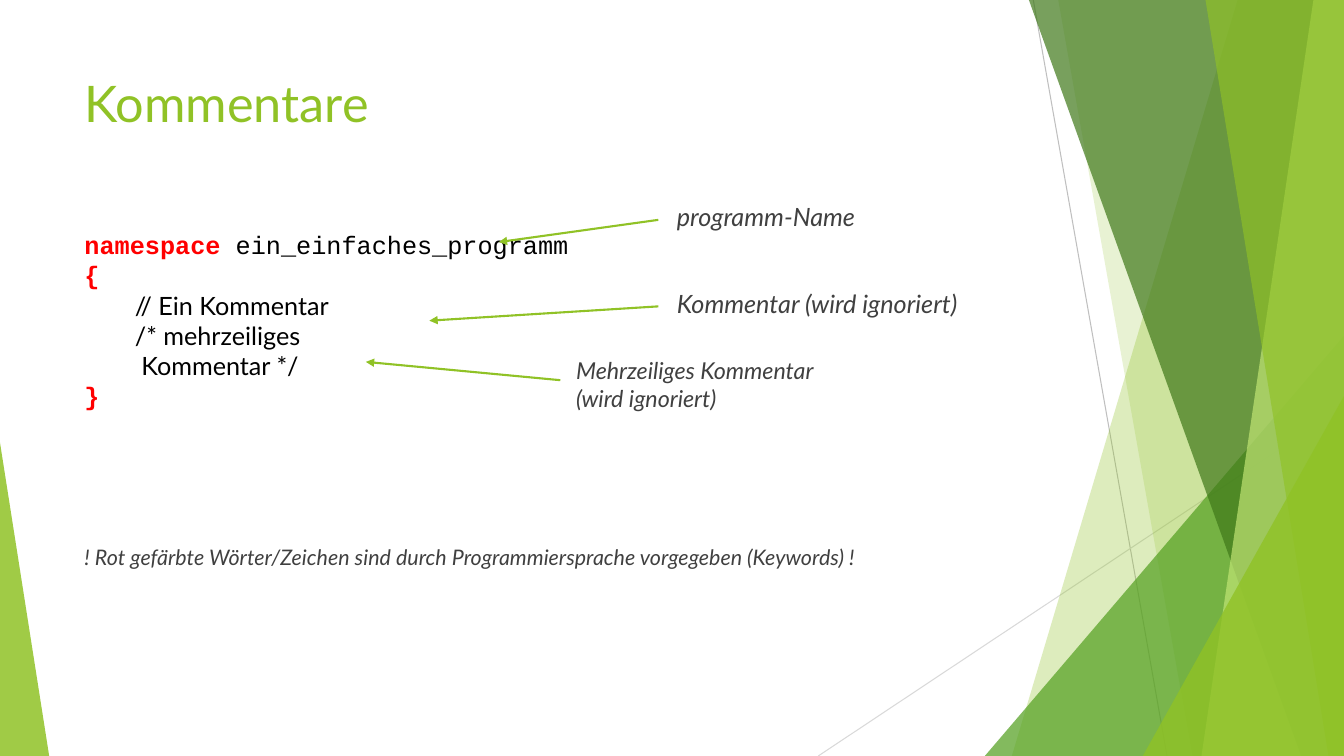
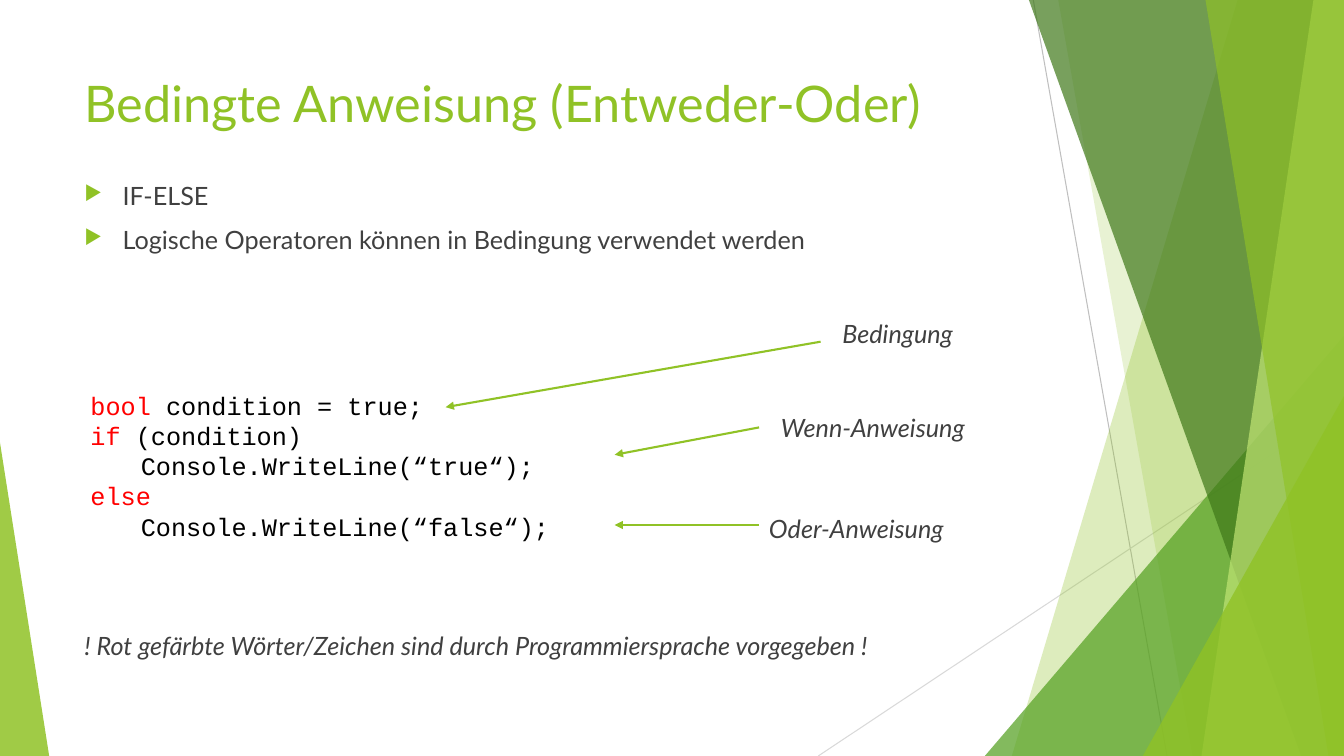
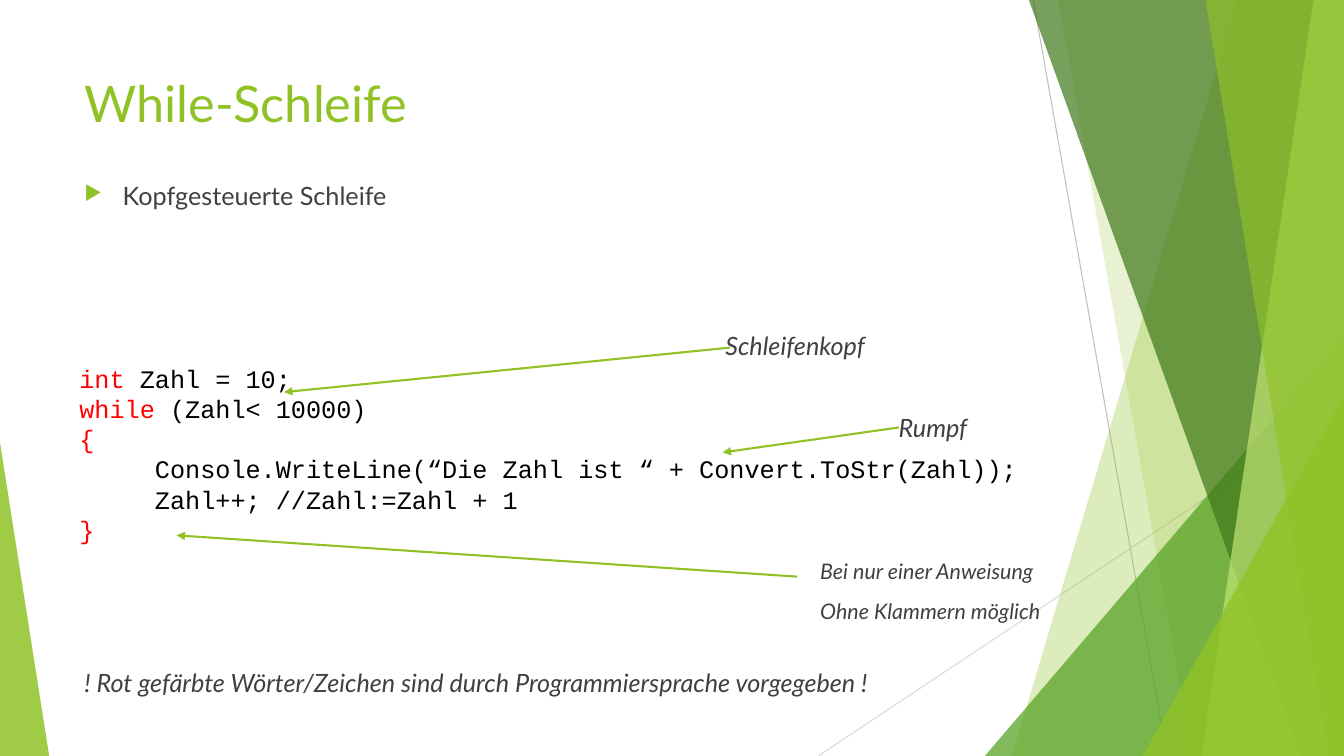
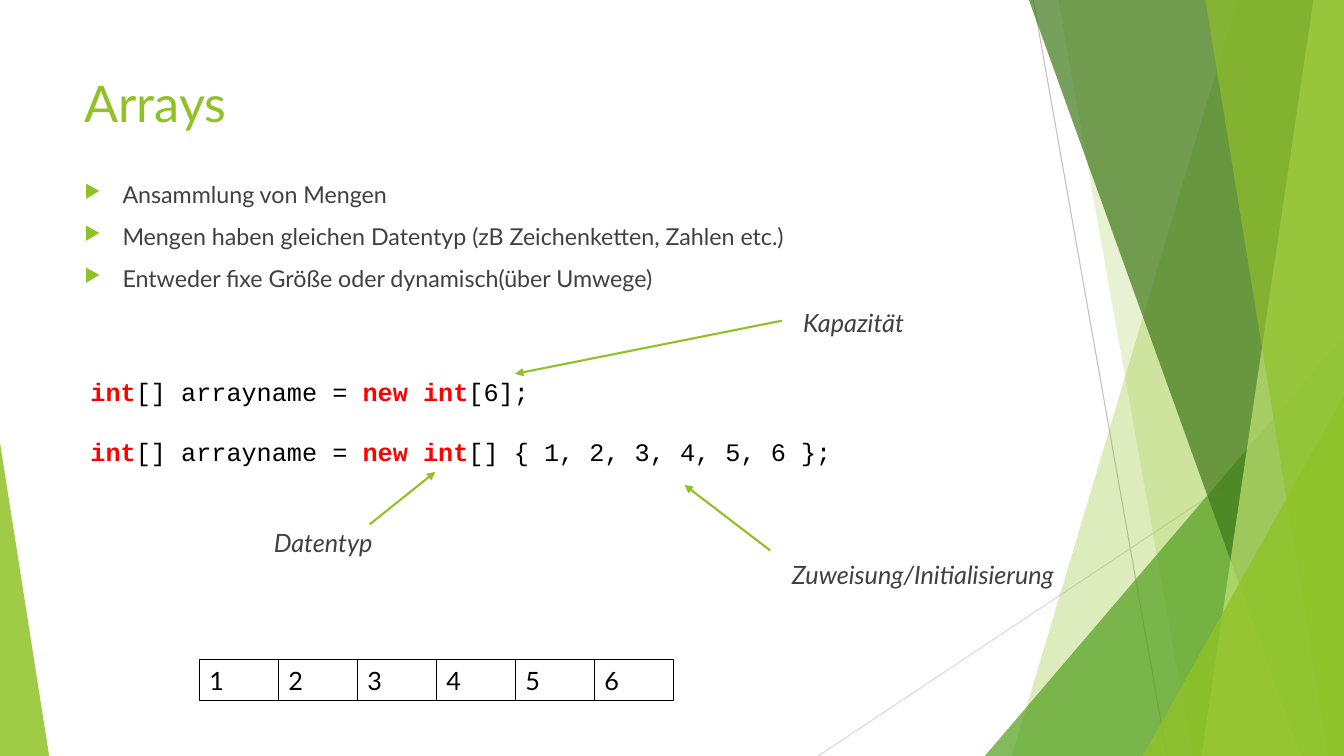
from dataclasses import dataclass, field
from typing import Any, NamedTuple

from lxml import etree
from pptx import Presentation
from pptx import slide as sl
from pptx import util as u
from pptx.dml import color as col
from pptx.enum import shapes, text
from pptx.oxml import ns
from pptx.shapes import autoshape, connector

Cm, Pt, Rgb = u.Cm, u.Pt, col.RGBColor.from_string


@dataclass(frozen=True)
class Theme:
    wide: float = 33.87
    high: float = 19.05
    left: float = 1.88
    sans: str = "Lato"
    mono: str = "Courier New"
    lime: str = "90C226"
    leaf: str = "54A021"
    moss: str = "3F7819"
    pale: str = "C0E474"
    gray: str = "404040"
    ash: str = "BFBFBF"
    mist: str = "D9D9D9"
    red: str = "FF0000"
    black: str = "000000"
    head: float = 36
    base: float = 18
    mid: float = 16.6
    small: float = 15.3
    pitch: float = 21.6
    gap: float = 10
    thin: float = 0.75
    thick: float = 1.5


T = Theme()


class Bit(NamedTuple):
    text: str
    color: str = T.black
    font: str = T.mono
    size: float = T.base
    bold: bool = False
    italic: bool = False


class Box(NamedTuple):
    x: float
    y: float
    w: float
    h: float


class Arrow(NamedTuple):
    x1: float
    y1: float
    x2: float
    y2: float
    color: str = T.lime
    width: float = T.thick
    tip: bool = True


class Band(NamedTuple):
    top: float
    foot: float
    color: str
    alpha: int


class Wedge(NamedTuple):
    box: Box
    apex: float
    color: str
    alpha: int


class Label(NamedTuple):
    box: Box
    lines: tuple[str, ...]
    size: float = T.base


Line = tuple[Bit, ...]


@dataclass(frozen=True)
class Page:
    title: str
    spot: Box
    code: tuple[Line, ...]
    labels: tuple[Label, ...]
    arrows: tuple[Arrow, ...]
    points: tuple[str, ...] = ()
    size: float = T.base
    skip: float = 0
    cells: tuple[str, ...] = field(default=())


def key(word: str) -> Bit:
    return Bit(word, T.red)


def bold(word: str) -> Bit:
    return Bit(word, T.red, bold=True)


def sans(word: str) -> Bit:
    return Bit(word, font=T.sans)


def style(item: Any, form: dict[str, Any]) -> None:
    for name, value in form.items():
        setattr(item, name, value)


def child(root: Any, tag: str, **attrs: str) -> Any:
    return etree.SubElement(root, ns.qn(tag), attrs)


def place(box: Box) -> tuple[u.Length, ...]:
    return tuple(Cm(v) for v in box)


def write(frame: Any, lines: tuple[Line, ...], form: dict[str, Any],
          gap: float = 0, mark: bool = False) -> None:
    frame.word_wrap = True
    frame.vertical_anchor = text.MSO_ANCHOR.TOP
    for i, line in enumerate(lines):
        para = frame.add_paragraph() if i else frame.paragraphs[0]
        style(para, {"alignment": text.PP_ALIGN.LEFT, **form})
        if i and gap:
            para.space_before = Pt(gap)
        if mark:
            bullet(para)
        for bit in line:
            run = para.add_run()
            run.text = bit.text
            style(run.font, {"name": bit.font, "size": Pt(bit.size),
                             "bold": bit.bold, "italic": bit.italic})
            run.font.color.rgb = Rgb(bit.color)


def bullet(para: Any) -> None:
    props = para._p.get_or_add_pPr()
    style_at = {"marL": Cm(0.96), "indent": Cm(-0.96)}
    for name, value in style_at.items():
        props.set(name, str(int(value)))
    child(child(props, "a:buClr"), "a:srgbClr", val=T.lime)
    child(props, "a:buSzPct", val="80000")
    child(props, "a:buChar", char="▶")


def add_text(page: sl.Slide, box: Box, lines: tuple[Line, ...],
             gap: float = 0, mark: bool = False, **form: Any) -> None:
    shape = page.shapes.add_textbox(*place(box))
    write(shape.text_frame, lines, form, gap, mark)


def add_arrow(page: sl.Slide, arrow: Arrow) -> connector.Connector:
    ends = (Cm(v) for v in arrow[:4])
    line = page.shapes.add_connector(shapes.MSO_CONNECTOR.STRAIGHT, *ends)
    line.line.color.rgb = Rgb(arrow.color)
    line.line.width = Pt(arrow.width)
    props = line.element.spPr
    if arrow.tip:
        child(props.find(ns.qn("a:ln")), "a:tailEnd", type="triangle")
    child(props, "a:effectLst")
    return line


def tint(shape: autoshape.Shape, color: str, alpha: int) -> None:
    shape.shadow.inherit = False
    shape.fill.solid()
    shape.fill.fore_color.rgb = Rgb(color)
    shape.line.fill.background()
    child(shape.element.spPr.find(".//" + ns.qn("a:srgbClr")),
          "a:alpha", val=str(alpha * 1000))


def add_band(page: sl.Slide, band: Band) -> autoshape.Shape:
    right, low = Cm(T.wide), Cm(T.high)
    form = page.shapes.build_freeform(Cm(band.top), 0)
    form.add_line_segments([(right, 0), (right, low), (Cm(band.foot), low)])
    shape = form.convert_to_shape()
    tint(shape, band.color, band.alpha)
    return shape


def add_wedge(page: sl.Slide, wedge: Wedge) -> autoshape.Shape:
    kind = shapes.MSO_SHAPE.ISOSCELES_TRIANGLE
    shape = page.shapes.add_shape(kind, *place(wedge.box))
    shape.adjustments[0] = wedge.apex
    tint(shape, wedge.color, wedge.alpha)
    return shape


def add_cells(page: sl.Slide, words: tuple[str, ...]) -> None:
    for i, word in enumerate(words):
        box = Box(5.03 + 1.99 * i, 16.63, 2, 1.03)
        cell = page.shapes.add_shape(shapes.MSO_SHAPE.RECTANGLE, *place(box))
        cell.shadow.inherit = False
        cell.fill.background()
        cell.line.color.rgb = Rgb(T.black)
        cell.line.width = Pt(T.thin)
        write(cell.text_frame, ((sans(word),),), {})


DECOR = (
    Arrow(26.04, 0, 29.41, 19.05, T.ash, T.thin, False),
    Arrow(33.87, 10.24, 20.62, 19.05, T.mist, T.thin, False),
    Band(31.19, 25.5, T.lime, 30),
    Band(26.67, 30.05, T.lime, 20),
    Wedge(Box(24.82, 8.46, 9.05, 10.59), 1, T.leaf, 72),
    Band(25.93, 32.79, T.moss, 70),
    Band(33.1, 30.28, T.pale, 70),
    Band(30.38, 33.48, T.lime, 65),
    Wedge(Box(28.8, 9.98, 5.07, 9.07), 1, T.lime, 80),
    Wedge(Box(0, 11.15, 1.24, 7.9), 0, T.lime, 85),
)
DRAW = {Arrow: add_arrow, Band: add_band, Wedge: add_wedge}


def set_decor(page: sl.Slide) -> None:
    tree = page.slide_layout.shapes.element
    for part in DECOR:
        tree.append(DRAW[type(part)](page, part).element)


def add_page(page: sl.Slide, data: Page) -> None:
    title = Bit(data.title, T.lime, T.sans, T.head)
    add_text(page, Box(T.left, 1.7, 23.88, 3.66), ((title,),))
    if data.points:
        rows = tuple((Bit(p, T.gray, T.sans, data.size),) for p in data.points)
        add_text(page, Box(T.left, 4.42, 23.88, 2.84), rows, T.gap, True)
    add_text(page, data.spot, data.code, data.skip, line_spacing=Pt(T.pitch))
    for label in data.labels:
        rows = tuple((Bit(t, T.gray, T.sans, label.size, italic=True),)
                     for t in label.lines)
        add_text(page, label.box, rows, T.gap)
    for arrow in data.arrows:
        add_arrow(page, arrow)
    add_cells(page, data.cells)


HINT = "! Rot gefärbte Wörter/Zeichen sind durch Programmiersprache vorgegeben"

PAGES = (
    Page(
        "Kommentare",
        Box(T.left, 5.66, 14.27, 4.83),
        (
            (bold("namespace "), Bit("ein_einfaches_programm")),
            (bold("{"),),
            (bold("\t"), sans("// Ein Kommentar")),
            (bold("\t"), sans("/* mehrzeiliges")),
            (sans("\t Kommentar */"),),
            (bold("}"),),
        ),
        (
            Label(Box(T.left, 13.59, 24.28, 1.17),
                  (HINT + " (Keywords) !",), T.small),
            Label(Box(16.81, 4.95, 5.31, 1.17), ("programm-Name",)),
            Label(Box(16.81, 7.14, 9.35, 1.17), ("Kommentar (wird ignoriert)",)),
            Label(Box(14.27, 8.86, 7.54, 1.68),
                  ("Mehrzeiliges Kommentar (wird ignoriert)",), T.mid),
        ),
        (
            Arrow(16.59, 5.54, 12.57, 6.1),
            Arrow(16.59, 7.72, 10.82, 8.08),
            Arrow(14.12, 9.58, 9.22, 9.12),
        ),
    ),
    Page(
        "Bedingte Anweisung (Entweder-Oder)",
        Box(2.03, 9.7, 18.39, 4.11),
        (
            (key("bool "), Bit("condition = true;")),
            (key("if"), Bit(" (condition)")),
            (Bit("\tConsole.WriteLine(“true“);"),),
            (key("else"),),
            (Bit("\tConsole.WriteLine(“false“);"),),
        ),
        (
            Label(Box(20.98, 7.9, 8.74, 1.68), ("Bedingung",)),
            Label(Box(19.43, 10.26, 8.05, 1.63), ("Wenn-Anweisung",)),
            Label(Box(19.13, 12.8, 8.05, 1.63), ("Oder-Anweisung",)),
            Label(Box(T.left, 15.75, 22.86, 1.17), (HINT + " !",)),
        ),
        (
            Arrow(20.68, 8.61, 11.23, 10.26),
            Arrow(19.13, 10.77, 15.49, 11.46),
            Arrow(19.13, 13.23, 15.49, 13.23),
        ),
        ("IF-ELSE", "Logische Operatoren können in Bedingung verwendet werden"),
    ),
    Page(
        "While-Schleife",
        Box(1.75, 9.02, 24.38, 4.83),
        (
            (key("int "), Bit("Zahl = 10;")),
            (key("while "), Bit("(Zahl< 10000)")),
            (key("{"),),
            (Bit("     Console.WriteLine(“Die Zahl ist “ + Convert.ToStr(Zahl));"),),
            (Bit("     Zahl++; //Zahl:=Zahl + 1"),),
            (key("}"),),
        ),
        (
            Label(Box(18.03, 8.2, 8.74, 1.68), ("Schleifenkopf",)),
            Label(Box(22.4, 10.26, 8.05, 1.63), ("Rumpf",)),
            Label(Box(20.42, 13.94, 8.05, 1.63),
                  ("Bei nur einer Anweisung", "Ohne Klammern möglich"), T.small),
            Label(Box(T.left, 16.69, 22.86, 1.17), (HINT + " !",)),
        ),
        (
            Arrow(18.39, 8.76, 7.16, 9.88),
            Arrow(22.66, 10.77, 18.21, 11.4),
            Arrow(20.09, 14.53, 4.45, 13.49),
        ),
        ("Kopfgesteuerte Schleife",),
    ),
    Page(
        "Arrays",
        Box(2.03, 9.35, 25.35, 2.57),
        (
            (bold("int"), Bit("[] arrayname = "), bold("new int"), Bit("[6];")),
            (bold("int"), Bit("[] arrayname ="), bold(" new int"),
             Bit("[] { 1, 2, 3, 4, 5, 6 };")),
        ),
        (
            Label(Box(19.99, 7.62, 8.05, 1.63), ("Kapazität",)),
            Label(Box(19.71, 13.97, 8.94, 2.26), ("Zuweisung/Initialisierung",)),
            Label(Box(6.65, 13.16, 8.05, 1.63), ("Datentyp",)),
        ),
        (
            Arrow(19.71, 8.08, 12.98, 9.42),
            Arrow(19.41, 13.87, 17.25, 12.22),
            Arrow(9.32, 13.21, 10.97, 11.89),
        ),
        (
            "Ansammlung von Mengen",
            "Mengen haben gleichen Datentyp (zB Zeichenketten, Zahlen etc.)",
            "Entweder fixe Größe oder dynamisch(über Umwege)",
        ),
        T.mid,
        T.pitch,
        ("1", "2", "3", "4", "5", "6"),
    ),
)


def main() -> None:
    deck = Presentation()
    style(deck, {"slide_width": Cm(T.wide), "slide_height": Cm(T.high)})
    blank = deck.slide_layouts[6]
    for i, data in enumerate(PAGES):
        page = deck.slides.add_slide(blank)
        if not i:
            set_decor(page)
        add_page(page, data)
    deck.save("out.pptx")


if __name__ == "__main__":
    main()
